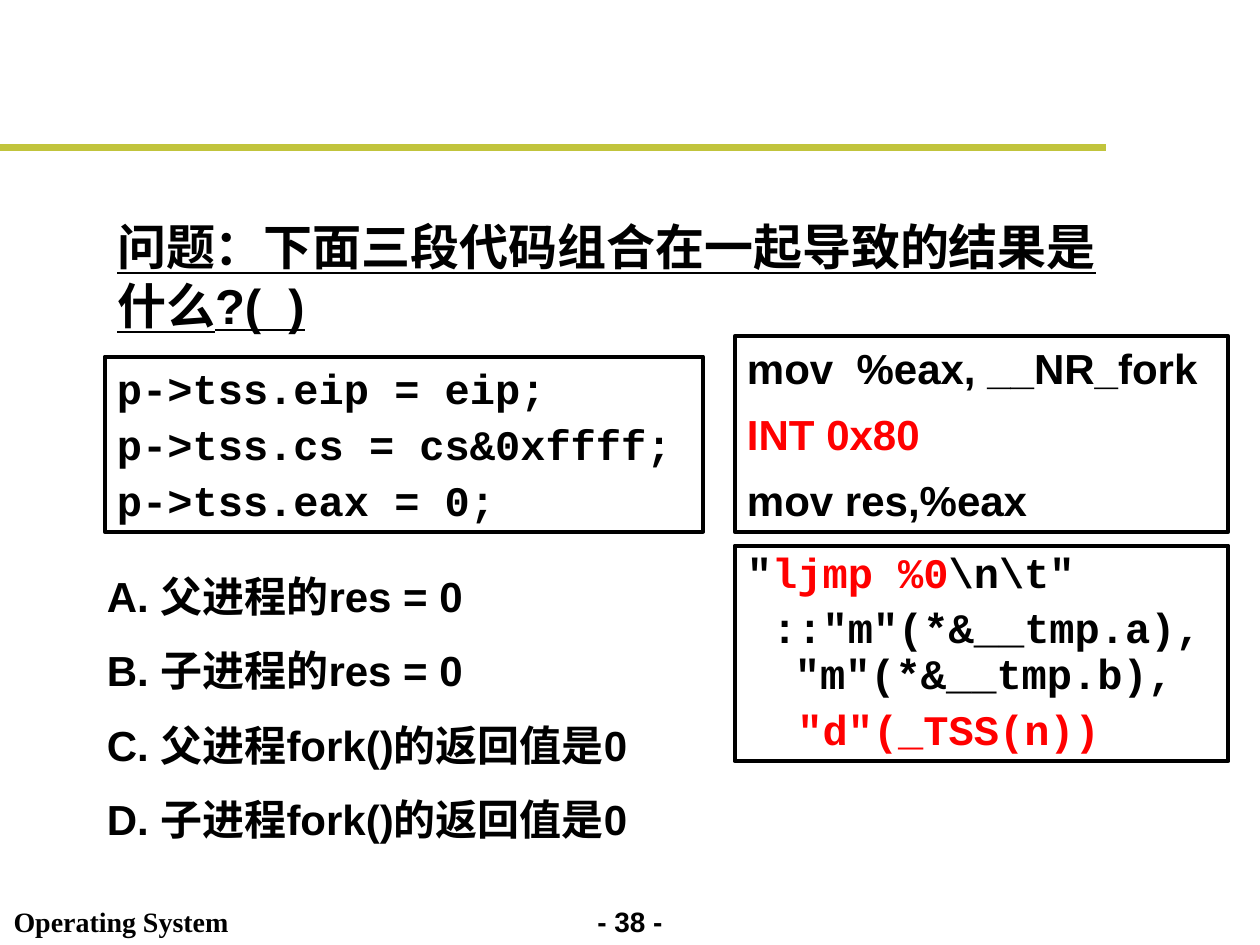
from lxml.etree import SubElement
from pptx import Presentation
from pptx.dml.color import RGBColor
from pptx.enum.shapes import MSO_CONNECTOR, MSO_SHAPE
from pptx.enum.text import MSO_ANCHOR, MSO_AUTO_SIZE, PP_ALIGN
from pptx.oxml.ns import qn
from pptx.util import Inches, Pt

THEME = {
    "text": RGBColor(0, 0, 0), "key": RGBColor(0xFF, 0, 0),
    "rule": RGBColor(0xC1, 0xC4, 0x3C),
    "sans": "Arial", "mono": "Courier New", "serif": "Times New Roman",
    "title": Pt(28), "body": Pt(24), "footer": Pt(16),
    "rule_width": Pt(4), "frame_width": Pt(2.25),
}

QUESTION = "问题：下面三段代码组合在一起导致的结果是什么?(  )"
OPTIONS = [
    "A. 父进程的res = 0",
    "B. 子进程的res = 0",
    "C. 父进程fork()的返回值是0",
    "D. 子进程fork()的返回值是0",
]
OPTION_TOP, OPTION_STEP = 4.32, 0.59
HANGING = (0.38, -0.38)

CODE_FRAMES = [
    {"box": (0.83, 2.83, 4.75, 1.39), "font": "mono", "indent": HANGING, "before": 3,
     "lines": [[("p->tss.eip = eip;", "text")],
               [("p->tss.cs = cs&0xffff;", "text")],
               [("p->tss.eax = 0;", "text")]]},
    {"box": (5.83, 2.67, 3.92, 1.55), "font": "sans", "before": 9,
     "lines": [[("mov  %eax, __NR_fork", "text")],
               [("INT 0x80", "key")],
               [("mov res,%eax", "text")]]},
    {"box": (5.83, 4.33, 3.92, 1.71), "font": "mono", "indent": HANGING, "before": 6,
     "spacing": 0.9,
     "lines": [[('"', "text"), ("ljmp %0", "key"), ('\\n\\t"', "text")],
               [(' ::"m"(*&__tmp.a), "m"(*&__tmp.b),', "text")],
               [('  "d"(_TSS(n))', "key")]]},
]
FOOTERS = [
    {"box": (4.5, 7.13, 1, 0.37), "text": "- 38 -", "font": "sans", "align": PP_ALIGN.CENTER},
    {"box": (0.01, 7.13, 1.9, 0.37), "text": "Operating System", "font": "serif",
     "align": PP_ALIGN.LEFT},
]


def inches(box):
    return [Inches(v) for v in box]


def fill_text(sp, lines, font, size, indent=(0, 0), before=0, spacing=None,
              align=PP_ALIGN.LEFT, underline=None, wrap=True):
    tf = sp.text_frame
    tf.word_wrap = wrap
    tf.auto_size = MSO_AUTO_SIZE.NONE
    tf.vertical_anchor = MSO_ANCHOR.TOP
    for i, line in enumerate(lines):
        p = tf.paragraphs[0] if i == 0 else tf.add_paragraph()
        p.alignment = align
        p.space_before = Pt(before)
        if spacing:
            p.line_spacing = spacing
        pPr = p._p.get_or_add_pPr()
        pPr.set("marL", str(Inches(indent[0])))
        pPr.set("indent", str(Inches(indent[1])))
        for text, color in line:
            r = p.add_run()
            r.text = text
            r.font.name = THEME[font]
            r.font.size = THEME[size]
            r.font.bold = True
            r.font.underline = underline
            r.font.color.rgb = THEME[color]


def add_rule(s):
    line = s.shapes.add_connector(MSO_CONNECTOR.STRAIGHT, *inches((0, 1.17, 8.78, 1.17)))
    line.line.color.rgb = THEME["rule"]
    line.line.width = THEME["rule_width"]
    SubElement(line._element.spPr, qn("a:effectLst"))


def add_code_frame(s, frame):
    sp = s.shapes.add_shape(MSO_SHAPE.RECTANGLE, *inches(frame["box"]))
    sp.shadow.inherit = False
    sp.fill.background()
    sp.line.color.rgb = THEME["text"]
    sp.line.width = THEME["frame_width"]
    fill_text(sp, frame["lines"], frame["font"], "body", frame.get("indent", (0, 0)),
              frame["before"], frame.get("spacing"))


def main():
    prs = Presentation()
    prs.slide_width, prs.slide_height = Inches(10), Inches(7.5)
    s = prs.slides.add_slide(prs.slide_layouts[5])

    for footer in FOOTERS:
        sp = s.shapes.add_textbox(*inches(footer["box"]))
        fill_text(sp, [[(footer["text"], "text")]], footer["font"], "footer",
                  align=footer["align"], wrap=False)
    add_rule(s)

    title = s.shapes.title
    title.left, title.top, title.width, title.height = inches((0.83, 1.67, 8.17, 1.04))
    fill_text(title, [[(QUESTION, "text")]], "sans", "title", underline=True)

    for i, option in enumerate(OPTIONS):
        sp = s.shapes.add_textbox(*inches((0.25, OPTION_TOP + i * OPTION_STEP, 5.67, 0.66)))
        fill_text(sp, [[(option, "text")]], "sans", "body", indent=(0.5, 0), spacing=1.4)

    for frame in CODE_FRAMES:
        add_code_frame(s, frame)

    prs.save("out.pptx")


if __name__ == "__main__":
    main()
